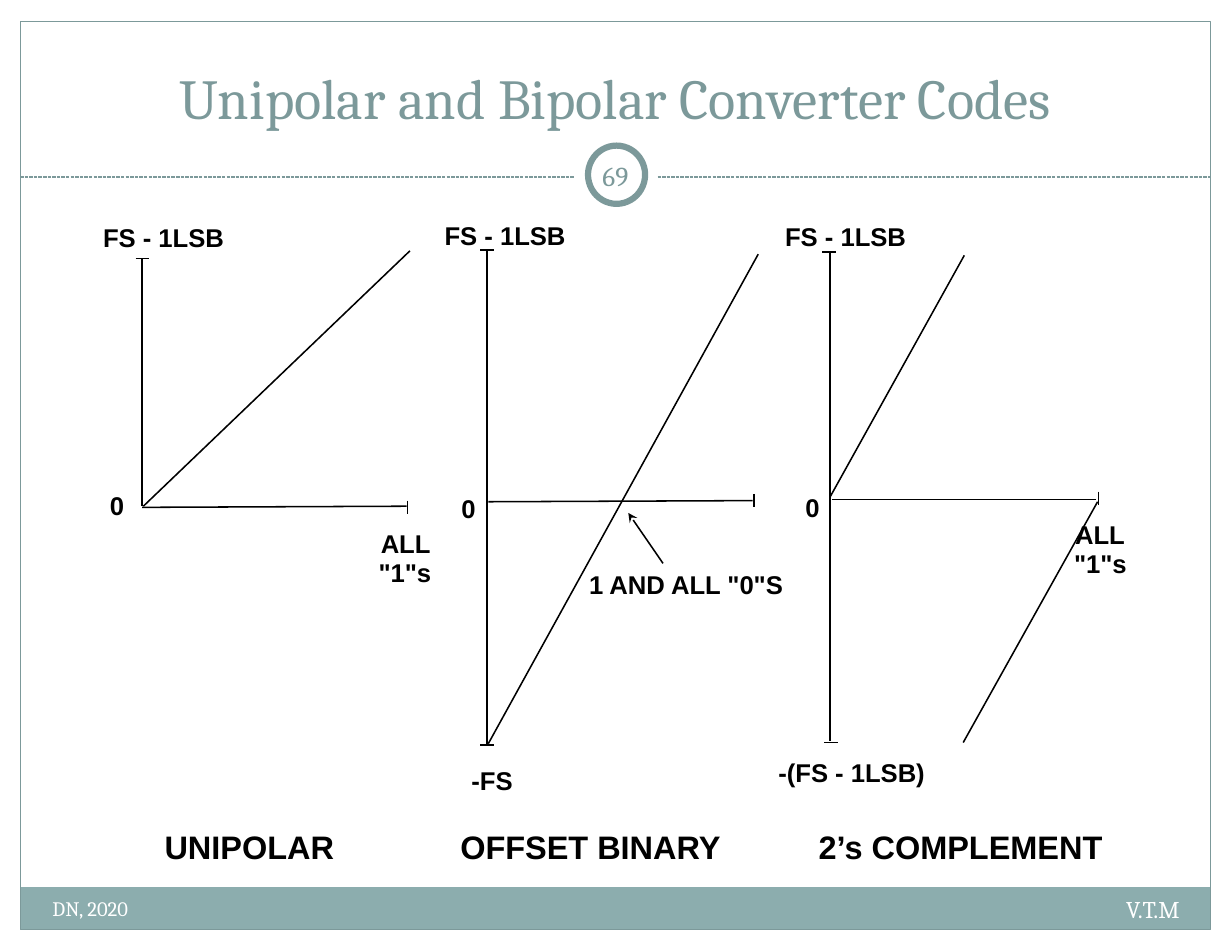
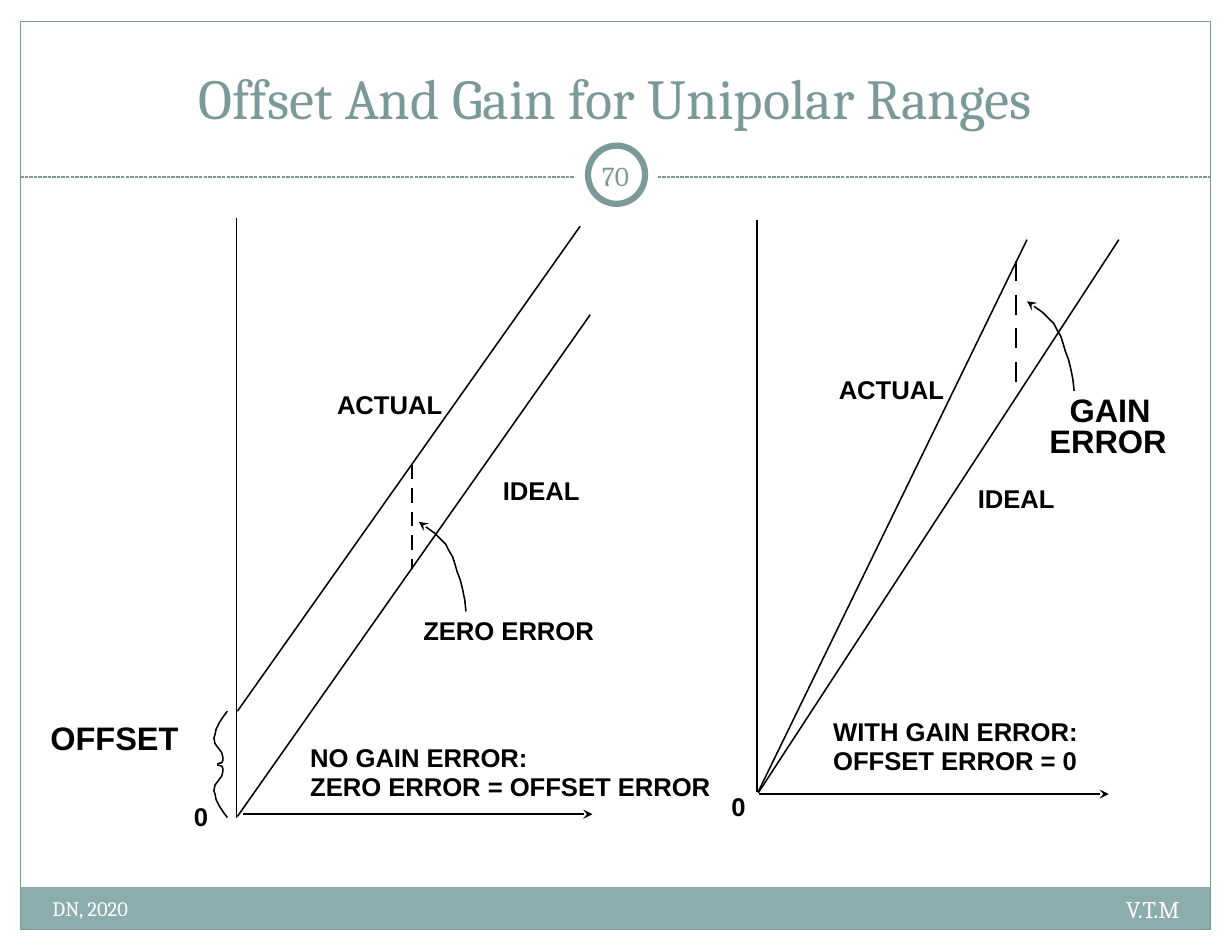
from typing import NamedTuple

from lxml.etree import SubElement
from pptx import Presentation
from pptx.dml.color import RGBColor
from pptx.enum.dml import MSO_LINE
from pptx.enum.shapes import MSO_CONNECTOR, MSO_SHAPE
from pptx.enum.text import MSO_ANCHOR, MSO_AUTO_SIZE, PP_ALIGN
from pptx.oxml.ns import qn
from pptx.util import Inches, Pt

TEAL = "7C999A"
BAND = "8CADAE"
WHITE = "FFFFFF"
BLACK = "000000"
HEADING_FONT = "Cambria"
LABEL_FONT = "Arial"
SMALL, LARGE = 16.5, 20.9
LABEL_HEIGHTS = {SMALL: 0.39, LARGE: 0.46}
TICK_HALF = 0.06

Point = tuple[float, float]


class Label(NamedTuple):
    text: str
    left: float
    top: float
    width: float
    size: float = SMALL


class Segment(NamedTuple):
    start: Point
    end: Point
    arrow: bool = False


class DashedGap(NamedTuple):
    x: float
    top: float
    bottom: float
    dash: float
    step: float

    def segments(self) -> list[Segment]:
        count = int((self.bottom - self.top) / self.step) + 1
        tops = [self.top + index * self.step for index in range(count)]
        return [Segment((self.x, top), (self.x, min(top + self.dash, self.bottom))) for top in tops]


class Curve(NamedTuple):
    points: list[Point]
    arrow: bool = False


ERROR_ARROW = [
    (0.42, 0.8), (0.41, 0.7), (0.39, 0.6), (0.37, 0.52), (0.34, 0.44),
    (0.32, 0.37), (0.3, 0.31), (0.27, 0.26), (0.24, 0.2), (0.19, 0.15),
    (0.14, 0.1), (0.07, 0.05), (0, 0),
]
BRACE_HALF = [
    (0.12, 0), (0.09, 0.04), (0.05, 0.1), (0.02, 0.16), (0.01, 0.21),
    (0, 0.24), (0.01, 0.29), (0.04, 0.33), (0.07, 0.37), (0.08, 0.41),
    (0.08, 0.44), (0.07, 0.46), (0.03, 0.47),
]

HORIZONTAL_TICKS = [(1.27, 2.31), (4.35, 2.23), (7.4, 2.25), (4.35, 6.65), (7.42, 6.63)]
VERTICAL_TICKS = [(3.64, 4.53), (6.73, 4.47), (9.81, 4.45)]

CODE_SEGMENTS = [
    Segment((1.27, 4.53), (3.63, 4.52)),
    Segment((1.27, 4.52), (1.27, 2.3)),
    Segment((4.35, 2.24), (4.35, 6.65)),
    Segment((7.41, 2.25), (7.41, 6.62)),
    Segment((4.36, 4.48), (6.72, 4.47)),
    Segment((7.43, 4.46), (9.79, 4.46)),
    Segment((1.28, 4.52), (3.66, 2.24)),
    Segment((6.77, 2.27), (4.36, 6.64)),
    Segment((8.61, 2.28), (7.41, 4.44)),
    Segment((9.8, 4.48), (8.6, 6.63)),
    Segment((5.92, 5.03), (5.61, 4.58), arrow=True),
    *[Segment((x - TICK_HALF, y), (x + TICK_HALF, y)) for x, y in HORIZONTAL_TICKS],
    *[Segment((x, y - TICK_HALF), (x, y + TICK_HALF)) for x, y in VERTICAL_TICKS],
]
CODE_LABELS = [
    *[Label("0", left, top, 0.35) for left, top in [(0.87, 4.31), (4.01, 4.34), (7.08, 4.33)]],
    *[Label("FS - 1LSB", left, top, 1.32) for left, top in [(0.81, 1.92), (3.86, 1.9), (6.9, 1.91)]],
    *[Label("ALL", left, top, 0.67) for left, top in [(3.29, 4.65), (9.49, 4.57)]],
    *[Label('"1"s', left, top, 0.7) for left, top in [(3.27, 4.91), (9.48, 4.83)]],
    Label('1 AND ALL "0"S', 5.15, 5.02, 1.98),
    Label("-FS", 4.1, 6.77, 0.6),
    Label("-(FS - 1LSB)", 6.84, 6.7, 1.55),
    Label("UNIPOLAR", 1.36, 7.32, 1.76, LARGE),
    Label("OFFSET BINARY", 4, 7.32, 2.58, LARGE),
    Label("2’s COMPLEMENT", 7.2, 7.32, 2.79, LARGE),
]

ERROR_SEGMENTS = [
    Segment((2.11, 1.95), (2.11, 7.3)),
    Segment((6.76, 1.96), (6.76, 7.07)),
    Segment((5.18, 2.02), (2.12, 6.35)),
    Segment((5.27, 2.81), (2.12, 7.29)),
    Segment((2.17, 7.27), (5.29, 7.27), arrow=True),
    Segment((6.78, 7.09), (9.9, 7.09), arrow=True),
    Segment((9.17, 2.14), (6.77, 7.07)),
    Segment((9.99, 2.14), (6.77, 7.08)),
    *DashedGap(3.68, 4.15, 5.08, 0.13, 0.21).segments(),
    *DashedGap(9.07, 2.33, 3.42, 0.18, 0.3).segments(),
]
ERROR_CURVES = [
    Curve([(1.91 + x, 6.35 + y) for x, y in BRACE_HALF]),
    Curve([(1.91 + x, 7.3 - y) for x, y in BRACE_HALF]),
    *[
        Curve([(left + x, top + y) for x, y in ERROR_ARROW], arrow=True)
        for left, top in [(3.74, 4.66), (9.17, 2.69)]
    ],
]
ERROR_LABELS = [
    *[Label("ACTUAL", left, top, 1.17) for left, top in [(2.9, 3.41), (7.38, 3.28)]],
    *[Label("IDEAL", left, top, 0.92) for left, top in [(4.38, 4.18), (8.62, 4.25)]],
    *[Label("0", left, top, 0.35) for left, top in [(1.62, 7.09), (6.42, 7)]],
    Label("OFFSET", 0.34, 6.35, 1.38, LARGE),
    Label("GAIN", 9.44, 3.42, 0.96, LARGE),
    Label("ERROR", 9.26, 3.7, 1.28, LARGE),
    Label("ZERO ERROR", 3.67, 5.43, 1.77),
    Label("NO GAIN ERROR:", 2.66, 6.56, 2.19),
    Label("ZERO ERROR = OFFSET ERROR", 2.66, 6.82, 3.85),
    Label("WITH GAIN ERROR:", 7.33, 6.33, 2.44),
    Label("OFFSET ERROR = 0", 7.33, 6.59, 2.43),
]


def color(value: str) -> RGBColor:
    return RGBColor.from_string(value)


def write(frame, text: str, size: float, font: str, ink: str, align=PP_ALIGN.LEFT, bold=False) -> None:
    paragraph = frame.paragraphs[0]
    paragraph.alignment = align
    run = paragraph.add_run()
    run.text = text
    run.font.size = Pt(size)
    run.font.name = font
    run.font.bold = bold
    run.font.color.rgb = color(ink)


def set_line(line, ink: str, width: float, arrow: bool = False) -> None:
    line.color.rgb = color(ink)
    line.width = Pt(width)
    if arrow:
        SubElement(line._get_or_add_ln(), qn("a:tailEnd"), type="stealth")


def add_segment(slide, segment: Segment, ink: str = BLACK, width: float = 1):
    connector = slide.shapes.add_connector(
        MSO_CONNECTOR.STRAIGHT, *[Inches(value) for value in segment.start + segment.end]
    )
    set_line(connector.line, ink, width, segment.arrow)
    SubElement(connector._element.spPr, qn("a:effectLst"))
    return connector


def add_curve(slide, curve: Curve) -> None:
    points = [(Inches(x), Inches(y)) for x, y in curve.points]
    builder = slide.shapes.build_freeform(*points[0])
    builder.add_line_segments(points[1:], close=False)
    shape = builder.convert_to_shape()
    shape.shadow.inherit = False
    shape.fill.background()
    set_line(shape.line, BLACK, 1, curve.arrow)


def add_text_box(slide, left: float, top: float, width: float, height: float):
    box = slide.shapes.add_textbox(Inches(left), Inches(top), Inches(width), Inches(height))
    box.text_frame.word_wrap = True
    return box.text_frame


def add_label(slide, label: Label) -> None:
    frame = add_text_box(slide, label.left, label.top, label.width, LABEL_HEIGHTS[label.size])
    frame.word_wrap = False
    frame.auto_size = MSO_AUTO_SIZE.SHAPE_TO_FIT_TEXT
    frame.margin_left = frame.margin_right = Inches(0.11)
    frame.margin_top = frame.margin_bottom = Inches(0.06)
    write(frame, label.text, label.size, LABEL_FONT, BLACK, bold=True)


def add_panel(slide, kind, box: tuple, fill: str = "", ink: str = "", width: float = 0) -> None:
    shape = slide.shapes.add_shape(kind, *[Inches(value) for value in box])
    shape.shadow.inherit = False
    if fill:
        shape.fill.solid()
        shape.fill.fore_color.rgb = color(fill)
    else:
        shape.fill.background()
    if ink:
        set_line(shape.line, ink, width)
    else:
        shape.line.fill.background()


def add_framed_slide(presentation, heading: str, number: int):
    slide = presentation.slides.add_slide(presentation.slide_layouts[5])
    add_panel(slide, MSO_SHAPE.RECTANGLE, (0.18, 7.92, 10.63, 0.38), fill=BAND)
    add_panel(slide, MSO_SHAPE.RECTANGLE, (0.18, 0.19, 10.63, 8.11), ink=TEAL, width=0.75)
    divider = add_segment(slide, Segment((0.18, 1.58), (10.81, 1.58)), TEAL, 0.75)
    divider.line.dash_style = MSO_LINE.SQUARE_DOT
    add_panel(slide, MSO_SHAPE.OVAL, (5.13, 1.18, 0.73, 0.76), fill=WHITE)
    add_panel(slide, MSO_SHAPE.OVAL, (5.25, 1.3, 0.51, 0.52), fill=WHITE, ink=TEAL, width=4)

    title = slide.shapes.title
    title.left, title.top = Inches(0.36), Inches(0.28)
    title.width, title.height = Inches(10.27), Inches(0.94)
    title.text_frame.vertical_anchor = MSO_ANCHOR.BOTTOM
    title.text_frame.auto_size = MSO_AUTO_SIZE.NONE
    write(title.text_frame, heading, 36.3, HEADING_FONT, TEAL, PP_ALIGN.CENTER)

    badge = add_text_box(slide, 5.22, 1.29, 0.55, 0.55)
    badge.vertical_anchor = MSO_ANCHOR.MIDDLE
    badge.margin_left = badge.margin_right = Inches(0.05)
    write(badge, str(number), 17.6, HEADING_FONT, TEAL, PP_ALIGN.CENTER)
    author = add_text_box(slide, 6.97, 7.94, 3.66, 0.45)
    write(author, "V.T.M", 15.4, HEADING_FONT, WHITE, PP_ALIGN.RIGHT)
    date = add_text_box(slide, 0.37, 7.95, 4.31, 0.45)
    write(date, "DN, 2020", 13.2, HEADING_FONT, WHITE)
    return slide


def add_diagram(slide, segments: list[Segment], curves: list[Curve], labels: list[Label]) -> None:
    for segment in segments:
        add_segment(slide, segment)
    for curve in curves:
        add_curve(slide, curve)
    for label in labels:
        add_label(slide, label)


def main() -> None:
    presentation = Presentation()
    presentation.slide_width, presentation.slide_height = Inches(11), Inches(8.5)
    codes = add_framed_slide(presentation, "Unipolar and Bipolar Converter Codes", 69)
    add_diagram(codes, CODE_SEGMENTS, [], CODE_LABELS)
    errors = add_framed_slide(presentation, "Offset And Gain for Unipolar Ranges", 70)
    add_diagram(errors, ERROR_SEGMENTS, ERROR_CURVES, ERROR_LABELS)
    presentation.save("out.pptx")


if __name__ == "__main__":
    main()
